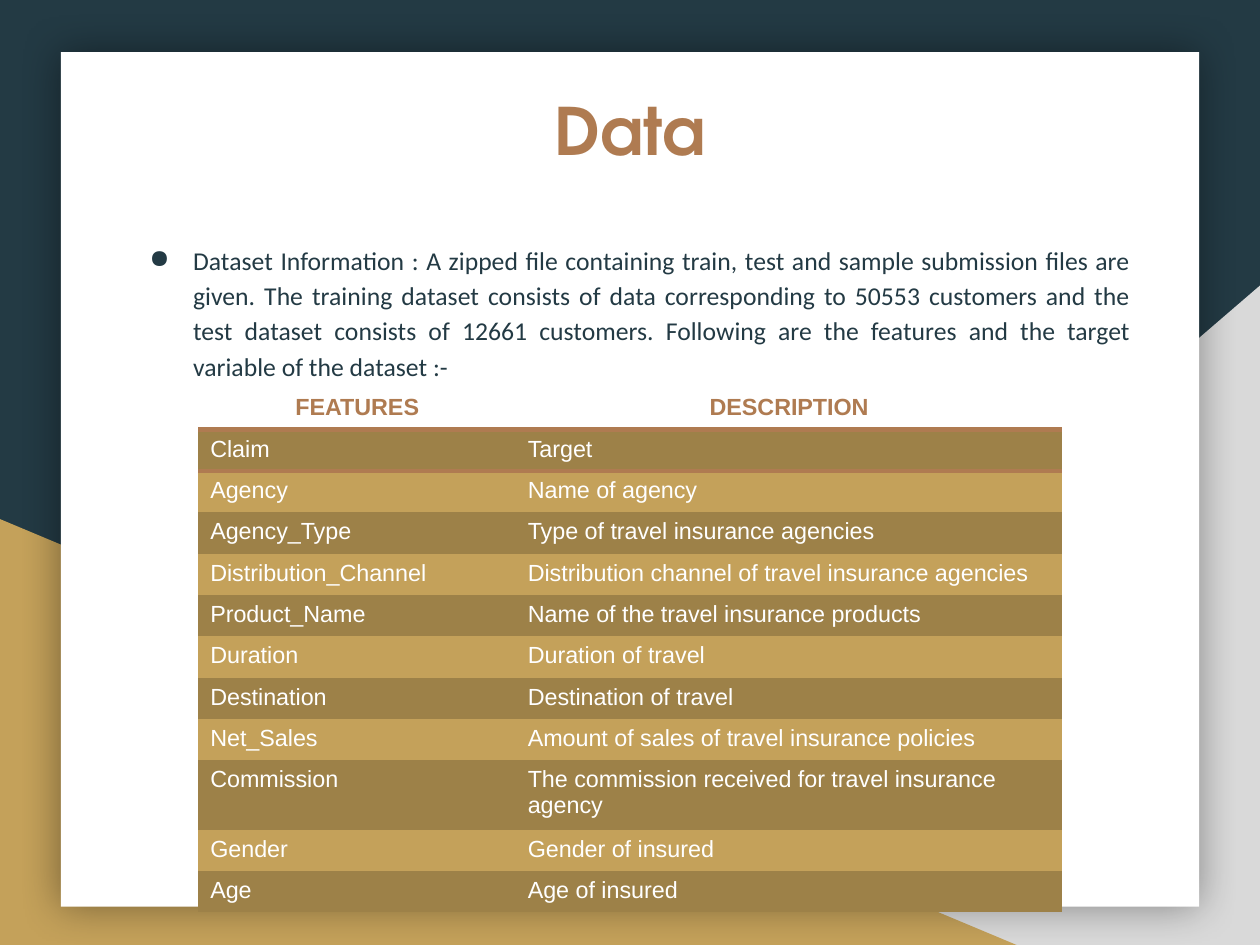
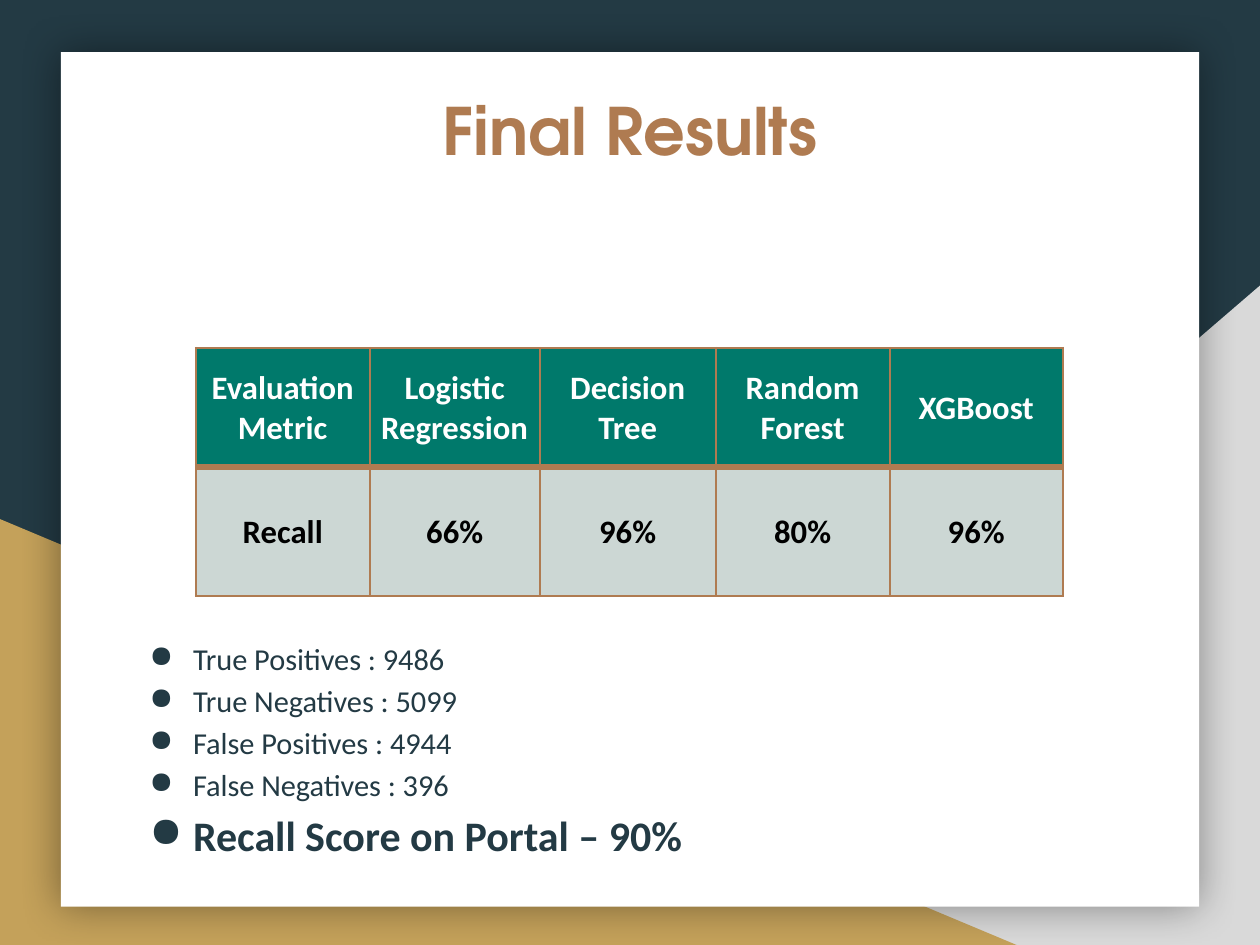
from lxml.etree import SubElement
from pptx import Presentation
from pptx.dml.color import RGBColor
from pptx.enum.shapes import MSO_SHAPE
from pptx.enum.text import MSO_ANCHOR, PP_ALIGN
from pptx.oxml.ns import qn
from pptx.util import Cm, Pt

NAVY, GOLD, DARK_GOLD, GREY = "233A44", "C4A15A", "9D8148", "D9D9D9"
COPPER, TEAL, PALE_TEAL, WHITE, BLACK = "AF7B51", "00796B", "CCD7D4", "FFFFFF", "000000"
TITLE_FONT, BODY_FONT, TABLE_FONT = "TeX Gyre Adventor", "Calibri", "Arial"
PLAIN_TABLE_STYLE = "{2D5ABB26-0587-4C30-8999-92F81FD0307C}"
TEXT_LEFT, TEXT_WIDTH = 1.7, 15.65

DATASET_INFORMATION = (
    "Dataset Information : A zipped file containing train, test and sample submission "
    "files are given. The training dataset consists of data corresponding to 50553 "
    "customers and the test dataset consists of 12661 customers. Following are the "
    "features and the target variable of the dataset :-"
)
FEATURES = [
    ("FEATURES", "DESCRIPTION"),
    ("Claim", "Target"),
    ("Agency", "Name of agency"),
    ("Agency_Type", "Type of travel insurance agencies"),
    ("Distribution_Channel", "Distribution channel of travel insurance agencies"),
    ("Product_Name", "Name of the travel insurance products"),
    ("Duration", "Duration of travel"),
    ("Destination", "Destination of travel"),
    ("Net_Sales", "Amount of sales of travel insurance policies"),
    ("Commission", "The commission received for travel insurance agency"),
    ("Gender", "Gender of insured"),
    ("Age", "Age of insured"),
]
RECALL = [
    ("Evaluation Metric", "Logistic Regression", "Decision Tree", "Random Forest", "XGBoost"),
    ("Recall", "66%", "96%", "80%", "96%"),
]
COUNTS = [
    "True Positives : 9486",
    "True Negatives : 5099",
    "False Positives : 4944",
    "False Negatives : 396",
]
SCORE = "Recall Score on Portal – 90%"


def rgb(color):
    return RGBColor.from_string(color)


def paint(target, color):
    target.fill.solid()
    target.fill.fore_color.rgb = rgb(color)


def write(paragraph, text, *, size, font=BODY_FONT, color=NAVY, bold=False, align=None):
    paragraph.alignment = align
    span = paragraph.add_run()
    span.text = text
    span.font.size = Pt(size)
    span.font.name = font
    span.font.bold = bold
    span.font.color.rgb = rgb(color)


def set_margins(target, left, top, right, bottom):
    target.margin_left, target.margin_top = Cm(left), Cm(top)
    target.margin_right, target.margin_bottom = Cm(right), Cm(bottom)


def add_text_frame(page, top, height):
    box = page.shapes.add_textbox(Cm(TEXT_LEFT), Cm(top), Cm(TEXT_WIDTH), Cm(height))
    frame = box.text_frame
    frame.word_wrap = True
    set_margins(frame, 0.25, 0.25, 0.25, 0.25)
    return frame


def add_bullets(page, top, height, items):
    """Write each (text, format) item as a bulleted paragraph."""
    frame = add_text_frame(page, top, height)
    for index, (text, style) in enumerate(items):
        paragraph = frame.add_paragraph() if index else frame.paragraphs[0]
        paragraph.line_spacing = 1.15
        write(paragraph, text, **style)
        properties = paragraph._p.get_or_add_pPr()
        properties.set("marL", str(Cm(0.97)))
        properties.set("indent", str(Cm(-0.66)))
        bullet_color = SubElement(properties, qn("a:buClr"))
        SubElement(bullet_color, qn("a:srgbClr"), val=NAVY)
        SubElement(properties, qn("a:buChar"), char="●")


def add_shape(page, kind, left, top, width, height, color):
    shape = page.shapes.add_shape(kind, Cm(left), Cm(top), Cm(width), Cm(height))
    paint(shape, color)
    shape.line.fill.background()
    shape.shadow.inherit = False
    return shape


def add_glow(shape):
    """Give the shape a soft shadow on all sides."""
    effects = shape._element.spPr.find(qn("a:effectLst"))
    shadow = SubElement(effects, qn("a:outerShdw"), blurRad=str(Pt(18)), algn="ctr", rotWithShape="0")
    shade = SubElement(shadow, qn("a:srgbClr"), val=BLACK)
    SubElement(shade, qn("a:alpha"), val="40000")


def add_page(deck, title):
    page = deck.slides.add_slide(deck.slide_layouts[6])
    grey_corner = add_shape(page, MSO_SHAPE.RIGHT_TRIANGLE, 7.47, 4.32, 11.58, 9.97, GREY)
    grey_corner._element.spPr.xfrm.set("flipH", "1")
    add_shape(page, MSO_SHAPE.RIGHT_TRIANGLE, 0, 7.85, 15.37, 6.44, GOLD)
    add_glow(add_shape(page, MSO_SHAPE.RECTANGLE, 0.92, 0.79, 17.21, 12.92, WHITE))
    heading = add_text_frame(page, 1.12, 2.64).paragraphs[0]
    write(heading, title, size=28, font=TITLE_FONT, color=COPPER, bold=True, align=PP_ALIGN.CENTER)
    return page


def set_borders(cell, borders):
    """Draw copper borders; borders maps the sides L, R, T, B, in that order, to points."""
    properties = cell._tc.get_or_add_tcPr()
    for side, width in borders.items():
        line = SubElement(properties, qn(f"a:ln{side}"), w=str(Pt(width)))
        fill = SubElement(line, qn("a:solidFill"))
        SubElement(fill, qn("a:srgbClr"), val=COPPER)


def add_table(page, left, top, widths, heights, rows, margins, anchor, style_row):
    """style_row maps a row index to its fill, borders and text format."""
    frame = page.shapes.add_table(
        len(rows), len(widths), Cm(left), Cm(top), Cm(sum(widths)), Cm(sum(heights)))
    table = frame.table
    table._tbl.tblPr.find(qn("a:tableStyleId")).text = PLAIN_TABLE_STYLE
    for column, width in zip(table.columns, widths):
        column.width = Cm(width)
    for index, (row, height, texts) in enumerate(zip(table.rows, heights, rows)):
        row.height = Cm(height)
        fill, borders, style = style_row(index)
        for cell, text in zip(row.cells, texts):
            set_margins(cell, *margins)
            cell.vertical_anchor = anchor
            set_borders(cell, borders)
            paint(cell, fill)
            write(cell.text_frame.paragraphs[0], text, **style)


def style_feature_row(index):
    style = dict(size=10, font=TABLE_FONT)
    if index == 0:
        return WHITE, {"B": 2}, dict(style, color=COPPER, bold=True, align=PP_ALIGN.CENTER)
    borders = {"T": 2} if index == 1 else {}
    return (DARK_GOLD if index % 2 else GOLD), borders, dict(style, color=WHITE)


def style_recall_row(index):
    style = dict(size=14, bold=True, align=PP_ALIGN.CENTER)
    if index == 0:
        return TEAL, {"L": 1, "R": 1, "T": 1, "B": 3}, dict(style, color=WHITE)
    return PALE_TEAL, {"L": 1, "R": 1, "T": 3, "B": 1}, dict(style, color=BLACK)


def build_data_page(deck):
    page = add_page(deck, "Data")
    add_bullets(page, 3.38, 8.03, [(DATASET_INFORMATION, dict(size=11, align=PP_ALIGN.JUSTIFY))])
    add_table(page, 3, 5.87, [4.8, 8.26], [0.62] * len(FEATURES), FEATURES,
              (0.18, 0.1, 0.18, 0.1), MSO_ANCHOR.TOP, style_feature_row)


def build_results_page(deck):
    page = add_page(deck, "Final Results")
    items = [(text, dict(size=13)) for text in COUNTS]
    add_bullets(page, 9.35, 3.83, items + [(SCORE, dict(size=18, bold=True))])
    add_table(page, 2.96, 5.26, [2.63, 2.57, 2.66, 2.63, 2.62], [1.8, 1.95], RECALL,
              (0.03, 0.03, 0.03, 0), MSO_ANCHOR.MIDDLE, style_recall_row)


def main():
    deck = Presentation()
    deck.slide_width, deck.slide_height = Cm(19.05), Cm(14.29)
    paint(deck.slide_master.background, NAVY)
    build_data_page(deck)
    build_results_page(deck)
    deck.save("out.pptx")


if __name__ == "__main__":
    main()
